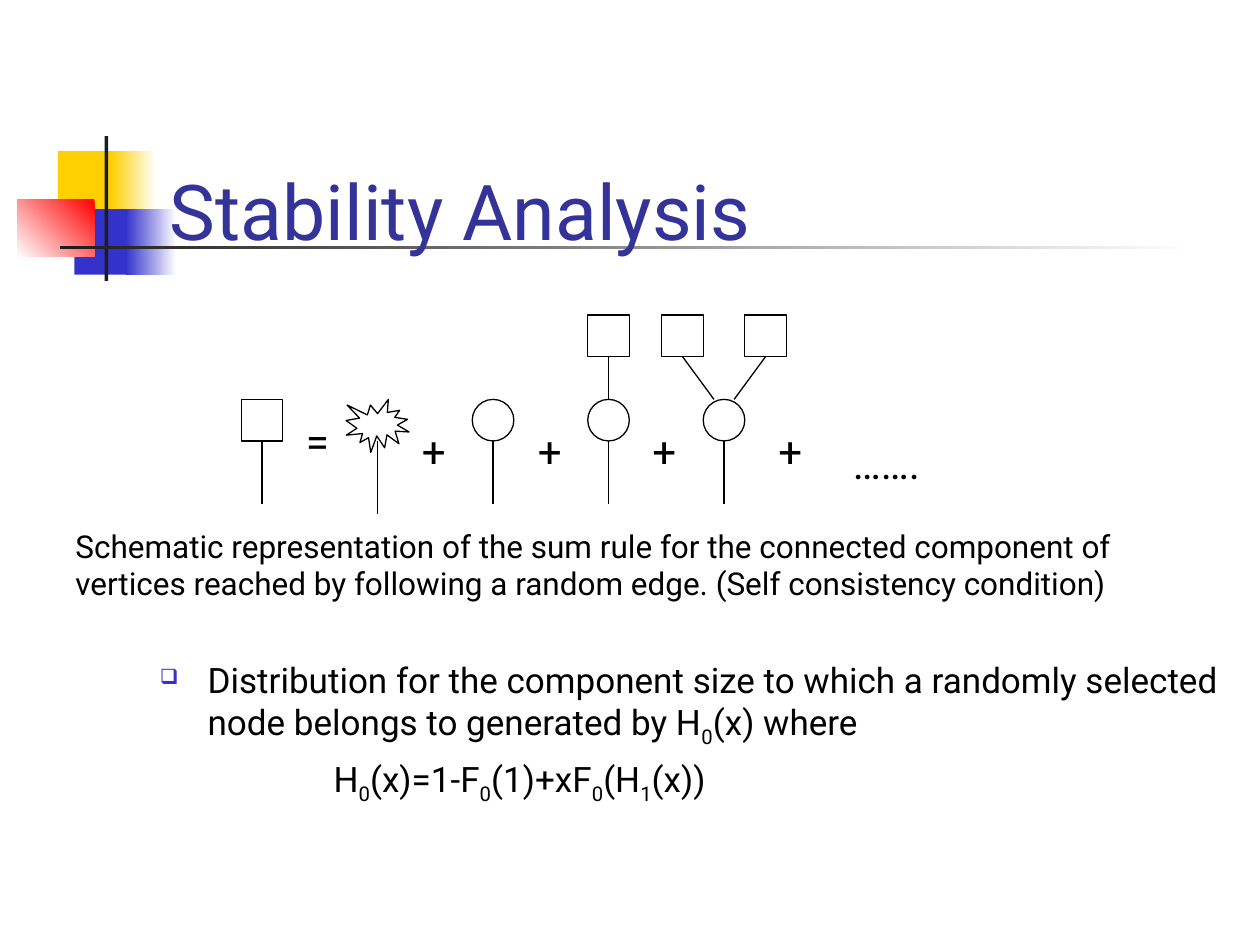
from dataclasses import dataclass

from lxml.etree import SubElement
from pptx import Presentation
from pptx.dml.color import RGBColor
from pptx.enum.shapes import MSO_CONNECTOR, MSO_SHAPE
from pptx.enum.text import MSO_ANCHOR
from pptx.oxml.ns import qn
from pptx.util import Inches, Pt


@dataclass(frozen=True)
class Theme:
    font: str = "Roboto"
    black: str = "000000"
    white: str = "FFFFFF"
    dark: str = "1C1C1C"
    yellow: str = "FFCF01"
    blue: str = "3333CC"
    red: str = "FF0000"
    title: str = "333399"
    title_size: int = 44
    symbol_size: int = 24
    body_size: int = 20
    caption_size: int = 18
    line_width: float = 0.75


theme = Theme()
presentation = Presentation()
presentation.slide_width = Inches(10)
presentation.slide_height = Inches(7.5)
slide = presentation.slides.add_slide(presentation.slide_layouts[6])


def add_text(text, left, top, width, height, size, color=theme.black,
             anchor=MSO_ANCHOR.TOP, indents=(0,), space_before=5):
    box = slide.shapes.add_textbox(Inches(left), Inches(top), Inches(width), Inches(height))
    frame = box.text_frame
    frame.word_wrap = True
    frame.vertical_anchor = anchor
    for number, (line, indent) in enumerate(zip(text.split("\n"), indents)):
        paragraph = frame.add_paragraph() if number else frame.paragraphs[0]
        if number:
            paragraph.space_before = Pt(space_before)
        if indent:
            paragraph._p.get_or_add_pPr().set("marL", str(Inches(indent)))
        first, *rest = line.split("_")
        pieces = [(first, False)]
        for part in rest:
            pieces += [(part[0], True), (part[1:], False)]
        for piece, subscript in pieces:
            run = paragraph.add_run()
            run.text = piece
            run.font.name = theme.font
            run.font.size = Pt(size)
            run.font.color.rgb = RGBColor.from_string(color)
            if subscript:
                run._r.get_or_add_rPr().set("baseline", "-25000")
    return box


def add_line(start_x, start_y, end_x, end_y):
    connector = slide.shapes.add_connector(
        MSO_CONNECTOR.STRAIGHT, Inches(start_x), Inches(start_y), Inches(end_x), Inches(end_y))
    connector.line.color.rgb = RGBColor.from_string(theme.black)
    connector.line.width = Pt(theme.line_width)
    SubElement(connector._element.spPr, qn("a:effectLst"))


decorations = [
    (0.46, 1.2, 0.48, 0.52, (theme.yellow,), None),
    (0.88, 1.2, 0.36, 0.52, (theme.white, theme.yellow), 180),
    (0.59, 1.66, 0.46, 0.52, (theme.blue,), None),
    (1, 1.66, 0.4, 0.52, (theme.white, theme.blue), 180),
    (0.14, 1.58, 0.61, 0.46, (theme.red, theme.white), 225),
    (0.83, 1.08, 0.03, 1.15, (theme.dark,), None),
    (0.48, 1.95, 9, 0.03, (theme.white, theme.dark), 180),
]
for left, top, width, height, colors, angle in decorations:
    shape = slide.shapes.add_shape(
        MSO_SHAPE.RECTANGLE, Inches(left), Inches(top), Inches(width), Inches(height))
    shape.shadow.inherit = False
    shape.line.fill.background()
    if angle is None:
        shape.fill.solid()
        shape.fill.fore_color.rgb = RGBColor.from_string(colors[0])
    else:
        shape.fill.gradient()
        shape.fill.gradient_angle = angle
        for stop, color, position in zip(shape.fill.gradient_stops, colors, (0, 1)):
            stop.color.rgb = RGBColor.from_string(color)
            stop.position = position

add_text("Stability Analysis", 1.25, 0.83, 8.52, 1.25, theme.title_size,
         color=theme.title, anchor=MSO_ANCHOR.BOTTOM)

node_size = 0.33
node_top, node_bottom = 3.17, 3.5
leaf_top, leaf_bottom = 2.5, 2.83
centers = [2.08 + index * 11 / 12 for index in range(5)]
square_x, burst_x, single_x, chain_x, fork_x = centers

for center in centers:
    add_line(center, node_bottom, center, 4.08 if center == burst_x else 4)
add_line(chain_x, node_top, chain_x, leaf_bottom)
for side in (-1, 1):
    add_line(fork_x + side * 0.33, leaf_bottom, fork_x + side * 0.08, node_top)

nodes = [
    (MSO_SHAPE.RECTANGLE, square_x, node_top, node_size, node_size),
    (MSO_SHAPE.EXPLOSION1, burst_x, node_top, 0.5, 0.42),
    (MSO_SHAPE.OVAL, single_x, node_top, node_size, node_size),
    (MSO_SHAPE.OVAL, chain_x, node_top, node_size, node_size),
    (MSO_SHAPE.OVAL, fork_x, node_top, node_size, node_size),
    (MSO_SHAPE.RECTANGLE, chain_x, leaf_top, node_size, node_size),
    (MSO_SHAPE.RECTANGLE, fork_x - 0.33, leaf_top, node_size, node_size),
    (MSO_SHAPE.RECTANGLE, fork_x + 0.33, leaf_top, node_size, node_size),
]
for kind, center, top, width, height in nodes:
    node = slide.shapes.add_shape(
        kind, Inches(center - width / 2), Inches(top), Inches(width), Inches(height))
    node.shadow.inherit = False
    node.fill.solid()
    node.fill.fore_color.rgb = RGBColor.from_string(theme.white)
    node.line.color.rgb = RGBColor.from_string(theme.black)
    node.line.width = Pt(theme.line_width)
add_line(burst_x, node_bottom, burst_x, 3.6)

symbols = [("=", 2.33, 3.25, 0.58), ("…….", 6.67, 3.42, 2)]
symbols += [("+", left, 3.33, 0.58) for left in (3.25, 4.17, 5.08, 6.08)]
for symbol, left, top, width in symbols:
    add_text(symbol, left, top, width, 0.5, theme.symbol_size)

add_text("Schematic representation of the sum rule for the connected component of vertices "
         "reached by following a random edge. (Self consistency condition)",
         0.5, 4.13, 9.08, 0.7, theme.caption_size)

body = add_text("Distribution for the component size to which a randomly selected node "
                "belongs to generated by H_0(x) where\nH_0(x)=1-F_0(1)+xF_0(H_1(x))",
                1.17, 5.18, 8.63, 1.53, theme.body_size, indents=(0.38, 1.38))
bullet = body.text_frame.paragraphs[0]._p.get_or_add_pPr()
bullet.set("indent", str(Inches(-0.38)))
bullet_color = SubElement(bullet, qn("a:buClr"))
SubElement(bullet_color, qn("a:srgbClr")).set("val", theme.blue)
SubElement(bullet, qn("a:buSzPct")).set("val", "60000")
SubElement(bullet, qn("a:buChar")).set("char", "❑")

presentation.save("out.pptx")
